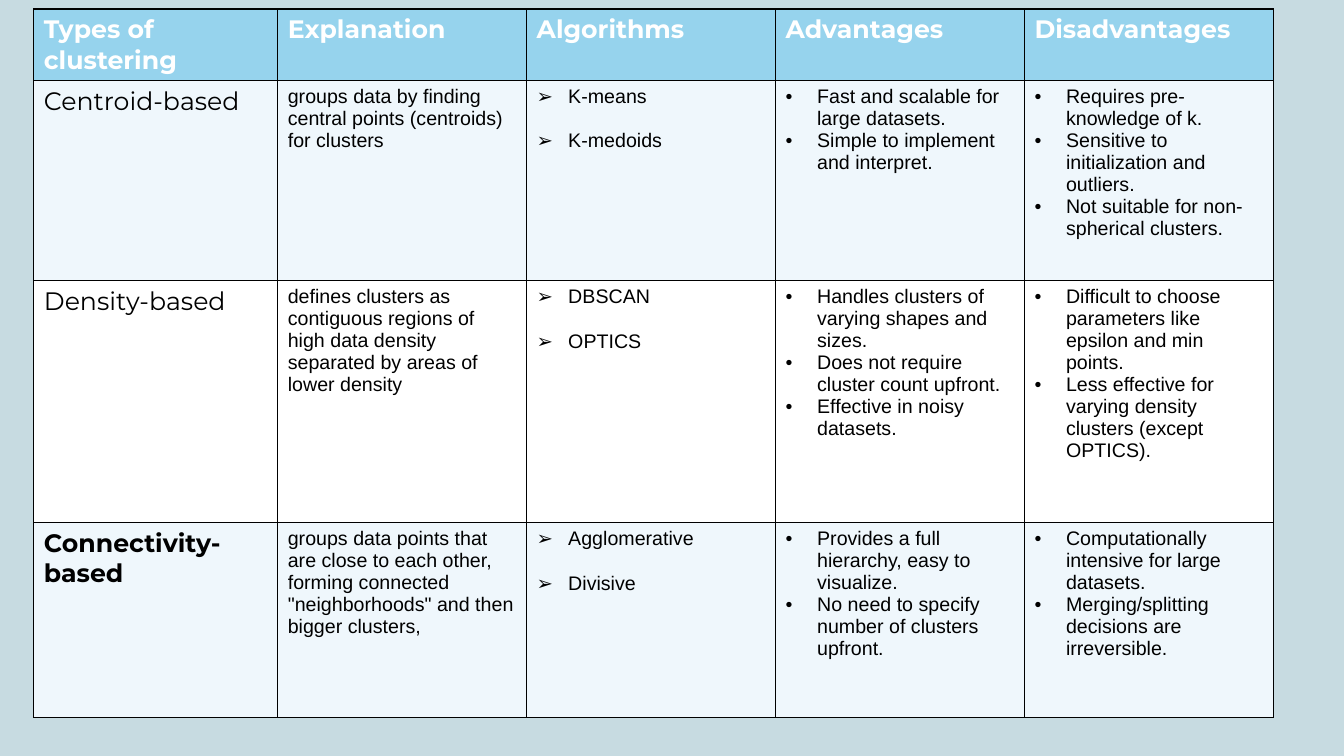
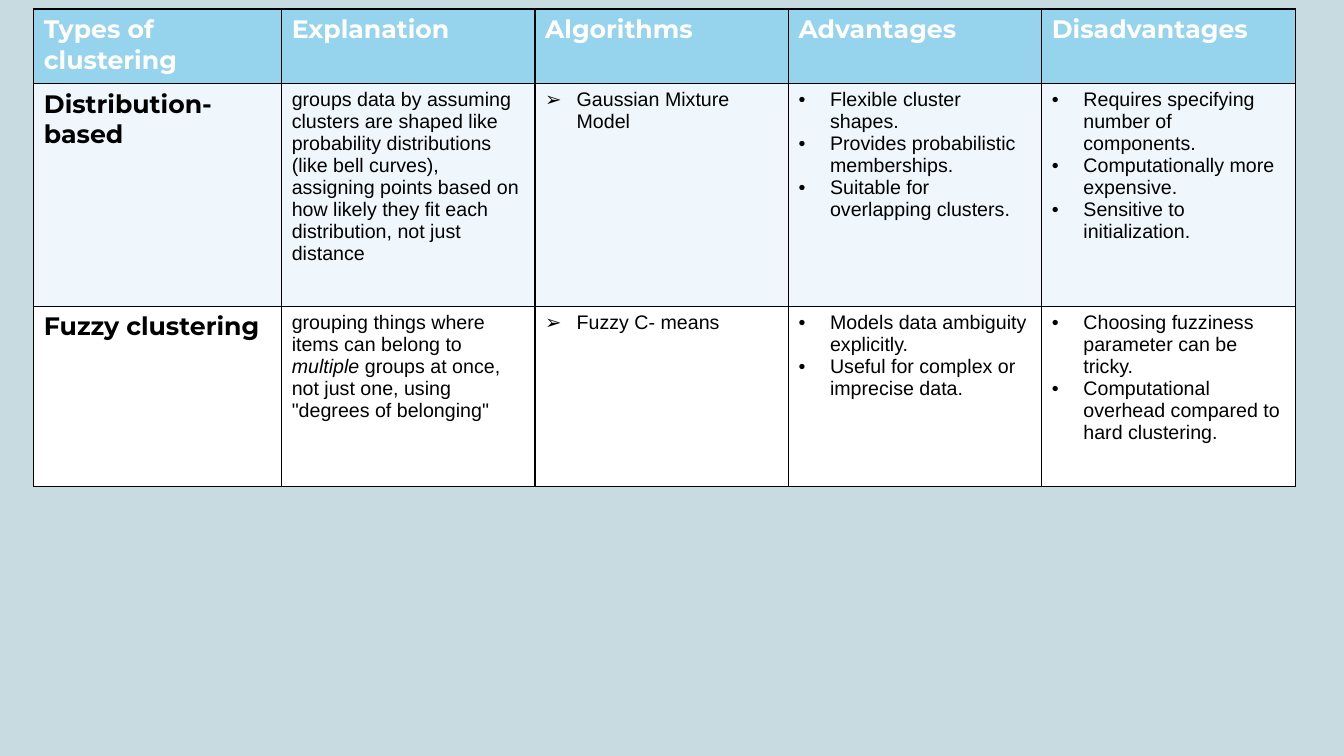
from lxml.etree import SubElement
from pptx import Presentation
from pptx.dml.color import RGBColor
from pptx.oxml import parse_xml
from pptx.oxml.ns import nsdecls, qn
from pptx.util import Pt

# Shared look
BACKGROUND, HEADER, BAND, PLAIN = "C7DBE1", "96D3ED", "EFF7FC", "FFFFFF"
BLACK, WHITE = "000000", "FFFFFF"
TITLE_FONT, BODY_FONT = "Montserrat", "Arial"
TITLE_SIZE, BODY_SIZE = 18, 14
INDENT = 22.5
ARROW, DOT = "➢", "•"
LEFT, TOP = 24.2, 6.5
HEADINGS = ["Types of clustering", "Explanation", "Algorithms",
            "Advantages", "Disadvantages"]

# Each row: label, label is bold, explanation, algorithms, advantages, disadvantages
BASIC_METHODS = [
    ("Centroid-based", False,
     "groups data by finding central points (centroids) for clusters",
     ["K-means", "K-medoids"],
     ["Fast and scalable for large datasets.",
      "Simple to implement and interpret."],
     ["Requires pre-knowledge of k.",
      "Sensitive to initialization and outliers.",
      "Not suitable for non-spherical clusters."]),
    ("Density-based", False,
     "defines clusters as contiguous regions of high data density "
     "separated by areas of lower density",
     ["DBSCAN", "OPTICS"],
     ["Handles clusters of varying shapes and sizes.",
      "Does not require cluster count upfront.",
      "Effective in noisy datasets."],
     ["Difficult to choose parameters like epsilon and min points.",
      "Less effective for varying density clusters (except OPTICS)."]),
    ("Connectivity-based", True,
     "groups data points that are close to each other, forming connected "
     '"neighborhoods" and then bigger clusters,',
     ["Agglomerative", "Divisive"],
     ["Provides a full hierarchy, easy to visualize.",
      "No need to specify number of clusters upfront."],
     ["Computationally intensive for large datasets.",
      "Merging/splitting decisions are irreversible."]),
]
SOFT_METHODS = [
    ("Distribution-based", True,
     "groups data by assuming clusters are shaped like probability "
     "distributions (like bell curves), assigning points based on how "
     "likely they fit each distribution, not just distance",
     ["Gaussian Mixture Model"],
     ["Flexible cluster shapes.",
      "Provides probabilistic memberships.",
      "Suitable for overlapping clusters."],
     ["Requires specifying number of components.",
      "Computationally more expensive.",
      "Sensitive to initialization."]),
    ("Fuzzy clustering", True,
     "grouping things where items can belong to *multiple* groups at once, "
     'not just one, using "degrees of belonging"',
     ["Fuzzy C- means"],
     ["Models data ambiguity explicitly.",
      "Useful for complex or imprecise data."],
     ["Choosing fuzziness parameter can be tricky.",
      "Computational overhead compared to hard clustering."]),
]


def rgb(color):
    return RGBColor.from_string(color)


def style_cell(cell, fill):
    """Solid fill and a thin black line on all four sides."""
    cell.fill.solid()
    cell.fill.fore_color.rgb = rgb(fill)
    tcPr = cell._tc.get_or_add_tcPr()
    for i, side in enumerate("LRTB"):
        tcPr.insert(i, parse_xml(
            f'<a:ln{side} {nsdecls("a")} w="{Pt(1)}"><a:solidFill>'
            f'<a:srgbClr val="{BLACK}"/></a:solidFill></a:ln{side}>'))


def add_text(p, text, font, size, color=BLACK, bold=False):
    """Runs of one paragraph; parts between asterisks are italic."""
    for i, part in enumerate(text.split("*")):
        r = p.add_run()
        r.text = part
        r.font.name, r.font.size = font, Pt(size)
        r.font.bold, r.font.italic = bold, i % 2 == 1
        r.font.color.rgb = rgb(color)


def add_bullets(tf, items, mark, gap=0):
    for i, item in enumerate(items):
        p = tf.add_paragraph() if i else tf.paragraphs[0]
        pPr = p._p.get_or_add_pPr()
        pPr.set("marL", str(Pt(INDENT)))
        pPr.set("indent", str(-Pt(INDENT)))
        SubElement(pPr, qn("a:buFont")).set("typeface", BODY_FONT)
        SubElement(pPr, qn("a:buChar")).set("char", mark)
        if i and gap:
            p.space_before = Pt(gap)
        add_text(p, item, BODY_FONT, BODY_SIZE)


def fill_row(cells, method):
    label, bold, explanation, algorithms, advantages, disadvantages = method
    frames = [cell.text_frame for cell in cells]
    add_text(frames[0].paragraphs[0], label, TITLE_FONT, TITLE_SIZE, bold=bold)
    add_text(frames[1].paragraphs[0], explanation, BODY_FONT, BODY_SIZE)
    add_bullets(frames[2], algorithms, ARROW, gap=16)
    add_bullets(frames[3], advantages, DOT)
    add_bullets(frames[4], disadvantages, DOT)


def add_method_table(slide, left, top, widths, heights, methods):
    table = slide.shapes.add_table(
        len(heights), len(widths), Pt(left), Pt(top),
        Pt(sum(widths)), Pt(sum(heights))).table
    for column, width in zip(table.columns, widths):
        column.width = Pt(width)
    for i, (row, height) in enumerate(zip(table.rows, heights)):
        row.height = Pt(height)
        for cell in row.cells:
            style_cell(cell, (BAND if i % 2 else PLAIN) if i else HEADER)
    # Header row
    for cell, heading in zip(table.rows[0].cells, HEADINGS):
        add_text(cell.text_frame.paragraphs[0], heading,
                 TITLE_FONT, TITLE_SIZE, WHITE, True)
    # One row per clustering method
    for i, method in enumerate(methods, 1):
        fill_row(list(table.rows[i].cells), method)


def add_comparison_slide(prs, first_width, width, heights, methods):
    slide = prs.slides.add_slide(prs.slide_layouts[6])
    slide.background.fill.solid()
    slide.background.fill.fore_color.rgb = rgb(BACKGROUND)
    widths = [first_width] + [width] * (len(HEADINGS) - 1)
    add_method_table(slide, LEFT, TOP, widths, heights, methods)


def main():
    prs = Presentation()
    prs.slide_width, prs.slide_height = Pt(960), Pt(540)
    add_comparison_slide(prs, 174.2, 177.8, [51, 143, 172.8, 139], BASIC_METHODS)
    add_comparison_slide(prs, 177, 181, [53.3, 159, 129], SOFT_METHODS)
    prs.save("out.pptx")


if __name__ == "__main__":
    main()
